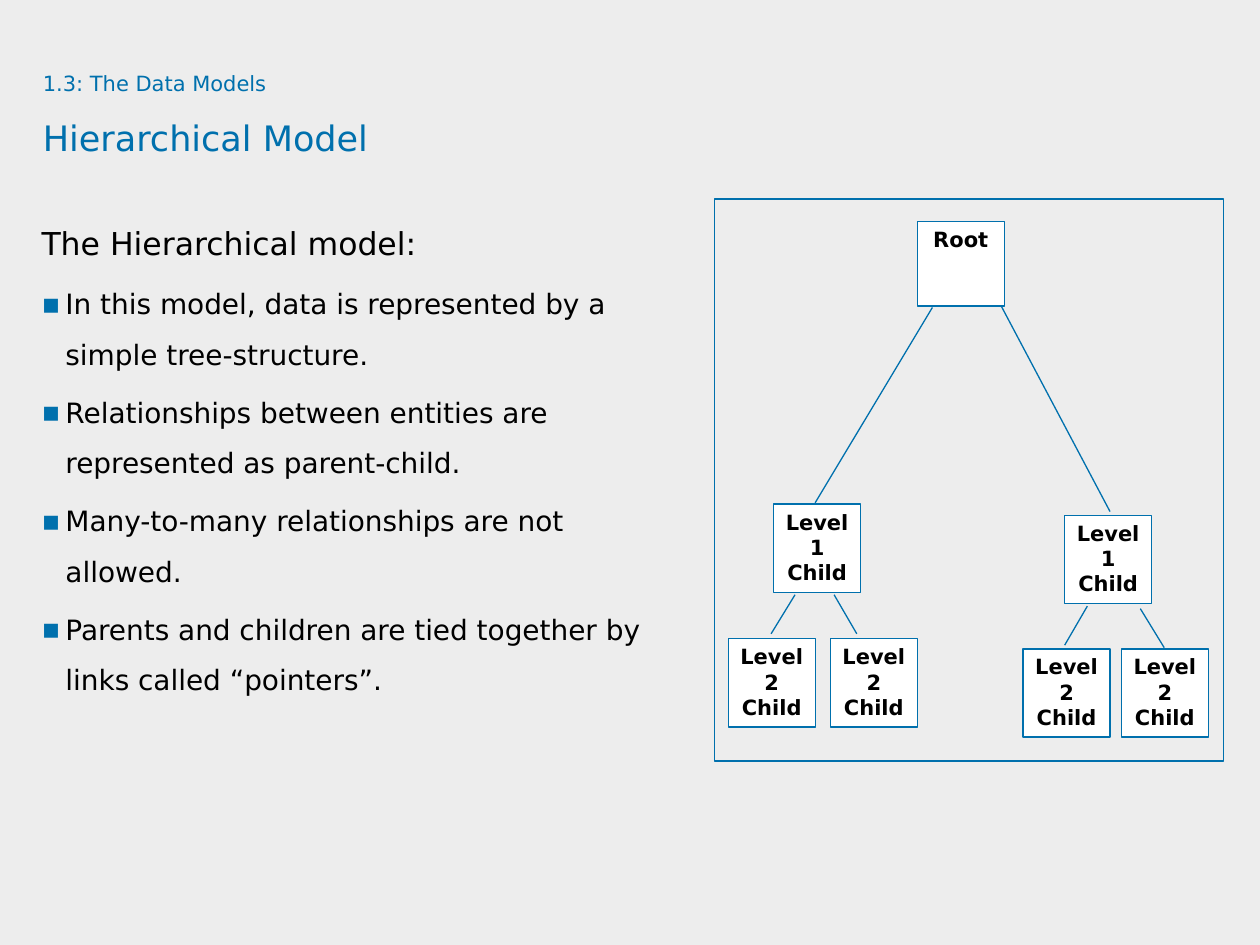
from lxml import etree
from pptx import Presentation
from pptx.dml.color import RGBColor
from pptx.enum.shapes import MSO_CONNECTOR, MSO_SHAPE
from pptx.enum.text import MSO_ANCHOR, PP_ALIGN
from pptx.oxml.ns import qn
from pptx.util import Inches, Pt

RECTANGLE = MSO_SHAPE.RECTANGLE
STRAIGHT = MSO_CONNECTOR.STRAIGHT
TOP = MSO_ANCHOR.TOP
CENTER = PP_ALIGN.CENTER

BLUE = RGBColor(0x00, 0x70, 0xAD)
GREY = RGBColor(0xED, 0xED, 0xED)
WHITE = RGBColor(0xFF, 0xFF, 0xFF)
BLACK = RGBColor(0x00, 0x00, 0x00)
FONT = "DejaVu Sans"
LINE_WIDTH = Pt(0.75)

SLIDE_W, SLIDE_H = Inches(10), Inches(7.5)

POINTS = [
    "In this model, data is represented by a simple tree-structure.",
    "Relationships between entities are represented as parent-child.",
    "Many-to-many relationships are not allowed.",
    "Parents and children are tied together by links called “pointers”.",
]

# Tree grid inside its frame: positions are (column, row)
TREE_COLUMNS, TREE_ROWS = 404, 446
NODE_COLUMNS, ROOT_ROWS, CHILD_ROWS = 69, 67, 70
ROOT = (161, 18)
CHILDREN = {
    "Level 1\nChild": [(47, 242), (278, 251)],
    "Level 2\nChild": [(11, 349), (92, 349), (245, 357), (323, 357)],
}
LINKS = [
    ((224, 78), (314, 248)),
    ((173, 86), (80, 241)),
    ((64, 314), (45, 345)),
    ((95, 314), (113, 345)),
    ((296, 323), (278, 354)),
    ((338, 325), (357, 356)),
]


def share(left, top, width, height):
    """Turn shares of the slide, in percent, into a box in EMU."""
    return (int(SLIDE_W * left / 100), int(SLIDE_H * top / 100),
            int(SLIDE_W * width / 100), int(SLIDE_H * height / 100))


def style_run(run, size, color, bold=False):
    run.font.name = FONT
    run.font.size = Pt(size)
    run.font.bold = bold
    run.font.color.rgb = color


def add_rectangle(slide, box, fill=None, line=None):
    rectangle = slide.shapes.add_shape(RECTANGLE, *box)
    rectangle.shadow.inherit = False
    if fill is None:
        rectangle.fill.background()
    else:
        rectangle.fill.solid()
        rectangle.fill.fore_color.rgb = fill
    if line is None:
        rectangle.line.fill.background()
    else:
        rectangle.line.color.rgb = line
        rectangle.line.width = LINE_WIDTH
    return rectangle


def add_text_area(slide, box):
    frame = slide.shapes.add_textbox(*box).text_frame
    frame.word_wrap = True
    frame.vertical_anchor = TOP
    frame.margin_left = frame.margin_right = 0
    frame.margin_top = frame.margin_bottom = 0
    return frame


def add_bullet(paragraph):
    properties = paragraph._p.get_or_add_pPr()
    indent = Inches(0.19)
    properties.set("marL", str(indent))
    properties.set("indent", str(-indent))
    color = etree.SubElement(properties, qn("a:buClr"))
    etree.SubElement(color, qn("a:srgbClr"), val=str(BLUE))
    etree.SubElement(properties, qn("a:buFont"), typeface=FONT)
    etree.SubElement(properties, qn("a:buChar"), char="▪")


def add_heading(slide, box):
    heading = add_text_area(slide, box).paragraphs[0]
    heading.text = "1.3: The Data Models\vHierarchical Model"
    heading.line_spacing = 1.5
    for run, size in zip(heading.runs, (12, 20)):
        style_run(run, size, BLUE)


def add_explanation(slide, box):
    frame = add_text_area(slide, box)
    frame.text = "\n".join(["The Hierarchical model:"] + POINTS)
    for index, paragraph in enumerate(frame.paragraphs):
        paragraph.line_spacing = 1.5
        paragraph.space_after = Pt(4.5)
        style_run(paragraph.runs[0], 16 if index else 18, BLACK)
        if index:
            add_bullet(paragraph)


def add_tree(slide, box):
    left, top, width, height = box
    column, row = width / TREE_COLUMNS, height / TREE_ROWS

    def place(position):
        return int(left + position[0] * column), int(top + position[1] * row)

    def add_link(start, end):
        link = slide.shapes.add_connector(STRAIGHT, *place(start), *place(end))
        link.line.color.rgb = BLUE
        link.line.width = LINE_WIDTH
        etree.SubElement(link._element.spPr, qn("a:effectLst"))

    def add_node(label, position, rows):
        node_box = (*place(position), int(NODE_COLUMNS * column), int(rows * row))
        frame = add_rectangle(slide, node_box, WHITE, BLUE).text_frame
        frame.word_wrap = True
        frame.vertical_anchor = TOP
        frame.margin_left = frame.margin_right = Inches(0.09)
        frame.margin_top = frame.margin_bottom = Inches(0.04)
        frame.text = label
        for paragraph in frame.paragraphs:
            paragraph.alignment = CENTER
            style_run(paragraph.runs[0], 12, BLACK, bold=True)

    add_rectangle(slide, box, line=BLUE)
    for start, end in LINKS:
        add_link(start, end)
    add_node("Root", ROOT, ROOT_ROWS)
    for label, positions in CHILDREN.items():
        for position in positions:
            add_node(label, position, CHILD_ROWS)


def main():
    presentation = Presentation()
    presentation.slide_width, presentation.slide_height = SLIDE_W, SLIDE_H
    slide = presentation.slides.add_slide(presentation.slide_layouts[6])
    add_rectangle(slide, share(0, 0, 100, 100), fill=GREY)
    add_heading(slide, share(3.4, 6.13, 90.9, 12.53))
    add_explanation(slide, share(3.3, 21.73, 50.6, 67.73))
    add_tree(slide, share(56.7, 21.07, 40.4, 59.47))
    presentation.save("out.pptx")


if __name__ == "__main__":
    main()
